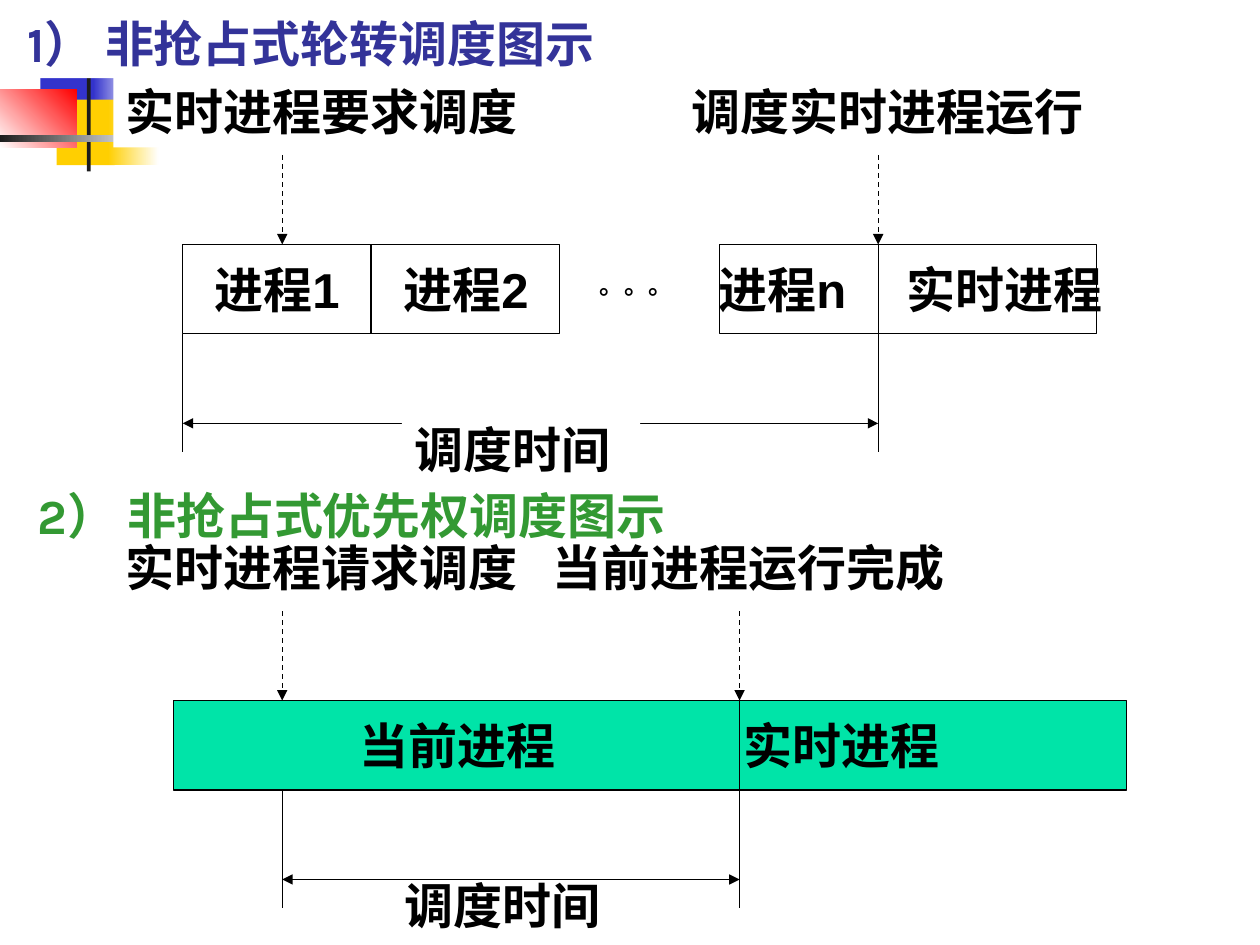
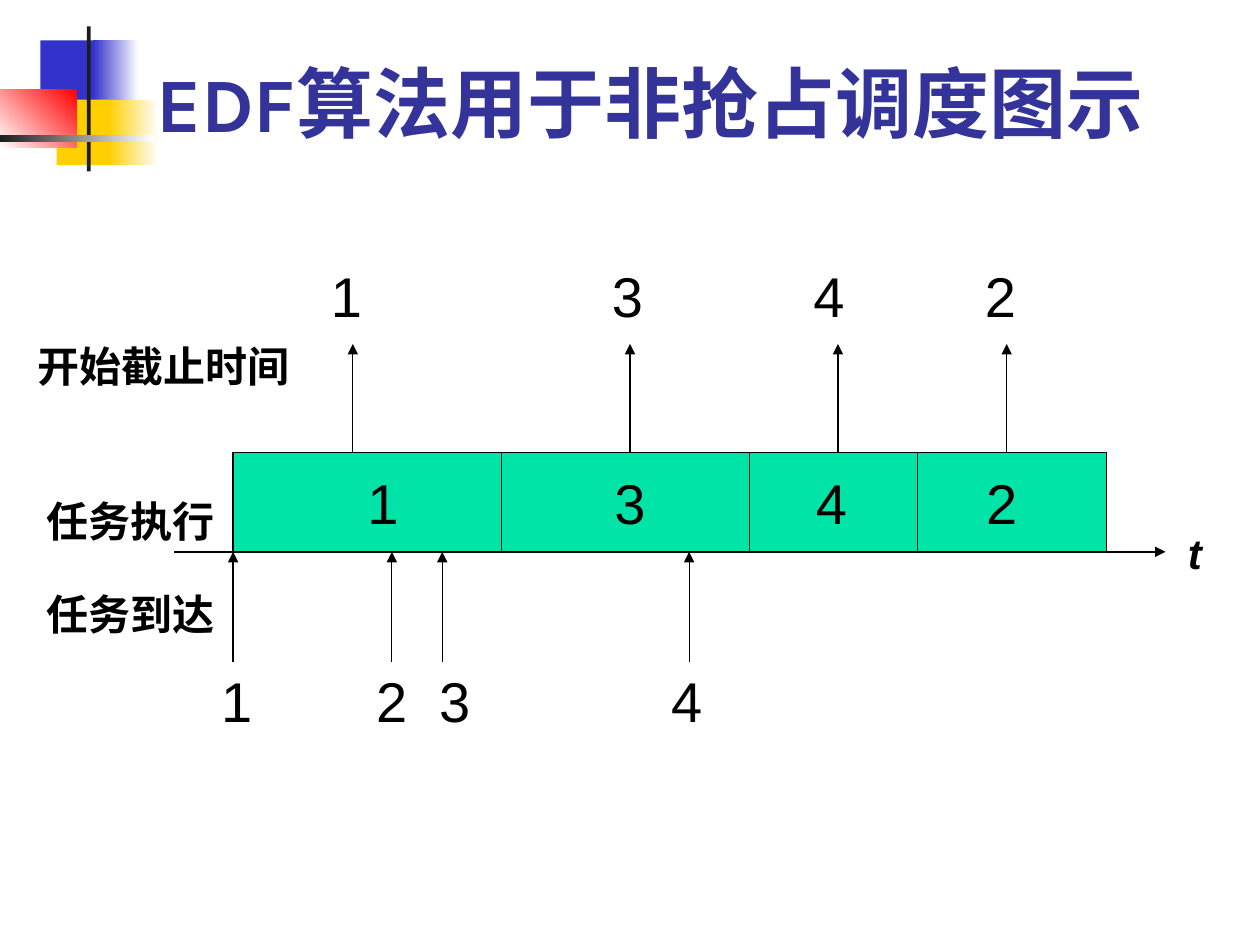
import pptx
import pptx.util
import pptx.dml.color
import pptx.enum.dml
import pptx.enum.shapes
import pptx.enum.text
import pptx.oxml
import pptx.oxml.ns

Inches, Pt = pptx.util.Inches, pptx.util.Pt
RGB = pptx.dml.color.RGBColor
RECT = pptx.enum.shapes.MSO_SHAPE.RECTANGLE
STRAIGHT = pptx.enum.shapes.MSO_CONNECTOR.STRAIGHT
ALIGN = pptx.enum.text.PP_ALIGN
ANCHOR = pptx.enum.text.MSO_ANCHOR
DASH = pptx.enum.dml.MSO_LINE.DASH

BLACK = RGB(0x00, 0x00, 0x00)
WHITE = RGB(0xFF, 0xFF, 0xFF)
INK = RGB(0x1C, 0x1C, 0x1C)
BLUE = RGB(0x33, 0x33, 0xCC)
YELLOW = RGB(0xFF, 0xCF, 0x01)
RED = RGB(0xFF, 0x00, 0x00)
TITLE_BLUE = RGB(0x33, 0x33, 0x99)
TITLE_GREEN = RGB(0x33, 0x99, 0x33)
BAR_GREEN = RGB(0x00, 0xE4, 0xA8)

# Text styles: font values
TITLE = {"name": "Karla", "size": Pt(44), "bold": True}
SUBTITLE = {**TITLE, "size": Pt(28)}
DOTS = {**TITLE, "size": Pt(14)}
LABEL = {"name": "Arial", "size": Pt(28), "bold": True}
ROW = {**LABEL, "size": Pt(24)}
AXIS = {**ROW, "italic": True}
NUMBER = {"name": "Arial", "size": Pt(32)}

# Paragraph styles
CENTER = {"alignment": ALIGN.CENTER}
LABEL_GAP = {"space_before": Pt(17.5)}
ROW_GAP = {"space_before": Pt(15)}
DOTS_GAP = {"space_before": Pt(3.5), "line_spacing": 0.8}


def add_text(s, box, text, font, para={}, color=BLACK, fill=None, anchor=ANCHOR.TOP, wrap=True):
    sp = s.shapes.add_textbox(*map(Inches, box))
    if fill is not None:
        sp.fill.solid()
        sp.fill.fore_color.rgb = fill
    tf = sp.text_frame
    tf.word_wrap = wrap
    tf.vertical_anchor = anchor
    p = tf.paragraphs[0]
    r = p.add_run()
    r.text = text
    for target, values in ((p, para), (r.font, font)):
        for key, value in values.items():
            setattr(target, key, value)
    r.font.color.rgb = color


def add_line(s, x1, y1, x2, y2, ends=(), dash=None):
    cx = s.shapes.add_connector(STRAIGHT, *map(Inches, (x1, y1, x2, y2)))
    cx.line.color.rgb = BLACK
    for key, value in {"width": Pt(0.75), "dash_style": dash}.items():
        setattr(cx.line, key, value)
    ln = cx.line._get_or_add_ln()
    for end in ends:
        ln.append(pptx.oxml.parse_xml(
            f'<a:{end} {pptx.oxml.ns.nsdecls("a")} type="triangle"/>'))
    cx._element.spPr.append(pptx.oxml.parse_xml(
        f'<a:effectLst {pptx.oxml.ns.nsdecls("a")}/>'))
    return cx


prs = pptx.Presentation()
prs.slide_width, prs.slide_height = Inches(10), Inches(7.5)
slides = [prs.slides.add_slide(prs.slide_layouts[6]) for _ in range(2)]

# Corner ornament and process bars: left, top, width, height, colours, angle, outlined
ornament = [
    (0.32, 0.32, 0.48, 0.52, [BLUE], 0, False),
    (0.74, 0.32, 0.36, 0.52, [BLUE, WHITE], 0, False),
    (0.45, 0.79, 0.46, 0.52, [YELLOW], 0, False),
    (0.86, 0.79, 0.40, 0.52, [YELLOW, WHITE], 0, False),
    (0, 0.71, 0.61, 0.46, [WHITE, RED], 45, False),
    (0.69, 0.21, 0.03, 1.15, [INK], 0, False),
    (0, 1.07, 1.22, 0.06, [INK, WHITE], 0, False),
]
bars = [
    [(1.45, 1.94, 2.99, 0.71, [WHITE], 0, True),
     (5.71, 1.94, 2.99, 0.71, [WHITE], 0, True),
     (1.38, 5.56, 7.56, 0.71, [BAR_GREEN], 0, True)],
    [(1.85, 3.59, 6.93, 0.79, [BAR_GREEN], 0, True)],
]
drawn = []
for s, slide_bars in zip(slides, bars):
    for x, y, w, h, colors, angle, outlined in ornament + slide_bars:
        sp = s.shapes.add_shape(RECT, *map(Inches, (x, y, w, h)))
        sp.shadow.inherit = False
        if len(colors) == 1:
            sp.fill.solid()
            sp.fill.fore_color.rgb = colors[0]
        else:
            sp.fill.gradient()
            sp.fill.gradient_angle = angle
            for stop, color, position in zip(sp.fill.gradient_stops, colors, (0, 1)):
                stop.color.rgb = color
                stop.position = position
        if outlined:
            sp.line.color.rgb = BLACK
            sp.line.width = Pt(0.75)
            drawn.append(sp)
        else:
            sp.line.fill.background()

# Slide 1: headings
s = slides[0]
add_text(s, (0.12, 0, 8.52, 0.62), "1） 非抢占式轮转调度图示", SUBTITLE,
         color=TITLE_BLUE, fill=WHITE, anchor=ANCHOR.BOTTOM)
add_text(s, (0.2, 3.83, 8.52, 0.54), "2） 非抢占式优先权调度图示", SUBTITLE,
         color=TITLE_GREEN, anchor=ANCHOR.BOTTOM)

# Slide 1: process names, by centre
for center, y, name in [(2.2, 1.94, "进程1"), (3.7, 1.94, "进程2"),
                        (6.21, 1.94, "进程n"), (7.97, 1.94, "实时进程"),
                        (3.63, 5.56, "当前进程"), (6.68, 5.56, "实时进程")]:
    add_text(s, (center - 0.9, y, 1.8, 0.71), name, LABEL, CENTER, anchor=ANCHOR.MIDDLE)
add_text(s, (4.66, 2.14, 0.78, 0.29), "。。。", DOTS, DOTS_GAP, fill=WHITE, wrap=False)

# Slide 1: divider and limits of the scheduling time
divider = add_line(s, 2.95, 1.94, 2.95, 2.65)
divider.begin_connect(drawn[0], 0)
divider.end_connect(drawn[0], 2)
for x, top, bottom in [(1.45, 2.65, 3.59), (6.97, 1.94, 3.59),
                       (2.24, 6.27, 7.21), (5.87, 5.56, 7.21)]:
    add_line(s, x, top, x, bottom)
for x1, x2, y in [(1.45, 6.97, 3.36), (2.24, 5.87, 6.98)]:
    add_line(s, x1, y, x2, y, ends=("headEnd", "tailEnd"))

# Slide 1: event arrows
for x, bar_top in [(2.24, 1.94), (6.97, 1.94), (2.24, 5.56), (5.87, 5.56)]:
    add_line(s, x, bar_top - 0.71, x, bar_top, ends=("tailEnd",), dash=DASH)

# Slide 1: event and time labels
for x, y, w, text, fill in [(0.9, 0.6, 3.39, "实时进程要求调度", WHITE),
                            (5.39, 0.6, 3.39, "调度实时进程运行", WHITE),
                            (3.19, 3.28, 1.89, "调度时间", WHITE),
                            (0.9, 4.22, 3.39, "实时进程请求调度", None),
                            (4.29, 4.22, 3.39, "当前进程运行完成", None),
                            (3.11, 6.9, 1.89, "调度时间", None)]:
    add_text(s, (x, y, w, 0.57), text, LABEL, LABEL_GAP, fill=fill)

# Slide 2: title
s = slides[1]
add_text(s, (1.14, 0.36, 8.59, 0.86), "EDF算法用于非抢占调度图示", TITLE,
         color=TITLE_BLUE, anchor=ANCHOR.BOTTOM)

# Slide 2: task dividers, time axis, arrivals and deadlines
for x in (3.98, 5.95, 7.28):
    add_line(s, x, 3.59, x, 4.38)
add_line(s, 1.38, 4.38, 9.25, 4.38, ends=("tailEnd",))
for y1, y2, xs in [(5.25, 4.38, (1.85, 3.11, 3.51, 5.47)),
                   (3.59, 2.73, (2.8, 5, 6.65, 7.99))]:
    for x in xs:
        add_line(s, x, y1, x, y2, ends=("tailEnd",))

# Slide 2: task numbers, by centre
for y, h, order, centers in [(2.02, 0.64, "1342", (2.75, 4.98, 6.58, 7.94)),
                             (3.59, 0.79, "1342", (3.04, 5, 6.6, 7.95)),
                             (5.24, 0.64, "1234", (1.88, 3.11, 3.61, 5.45))]:
    for number, center in zip(order, centers):
        add_text(s, (center - 0.25, y, 0.5, h), number, NUMBER, CENTER, anchor=ANCHOR.MIDDLE)

# Slide 2: row labels and axis name
for x, y, w, text, font in [(0.2, 2.65, 2.6, "开始截止时间", ROW),
                            (0.27, 3.88, 1.58, "任务执行", ROW),
                            (0.27, 4.62, 1.58, "任务到达", ROW),
                            (9.33, 4.14, 0.39, "t", AXIS)]:
    add_text(s, (x, y, w, 0.5), text, font, ROW_GAP)

prs.save("out.pptx")
